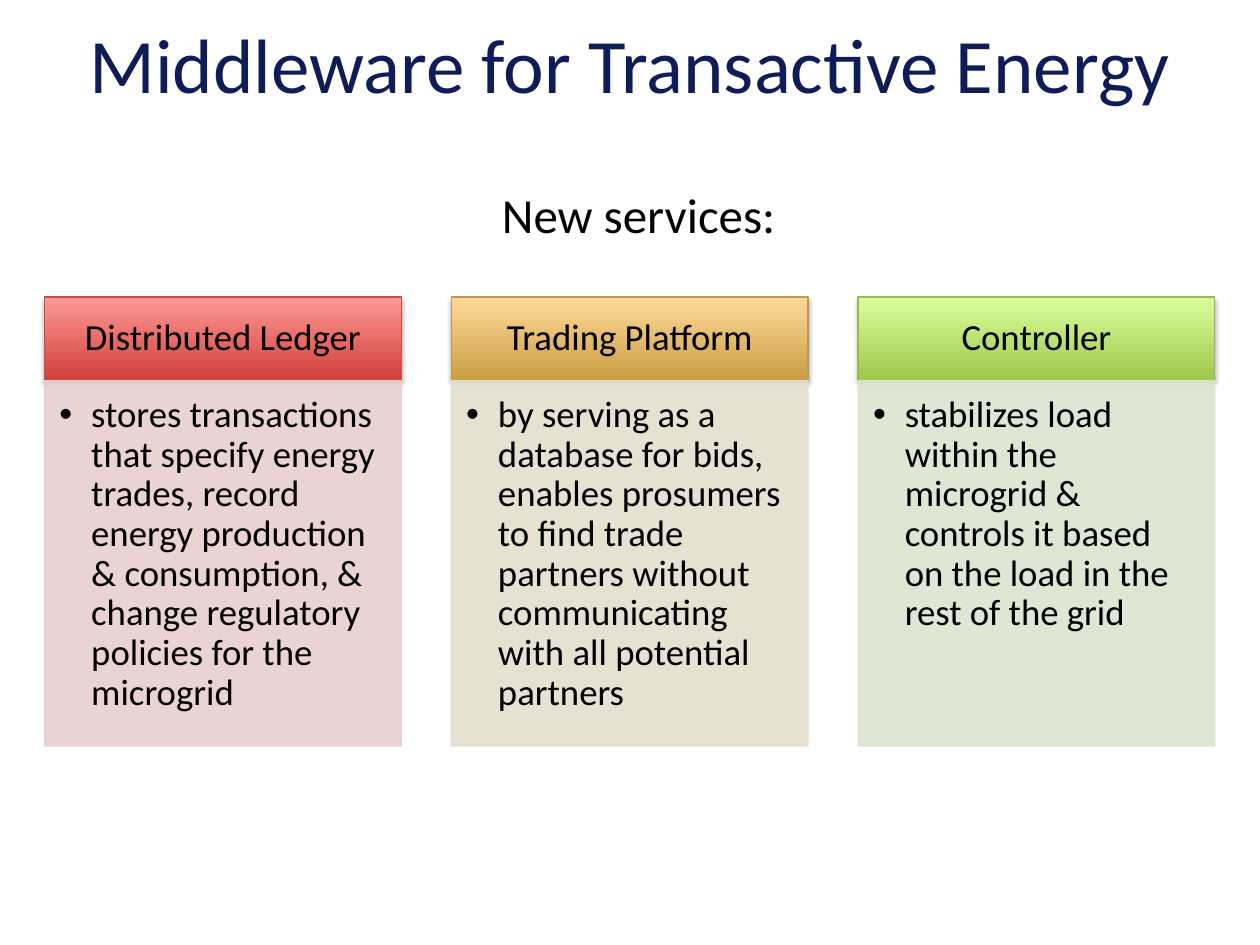
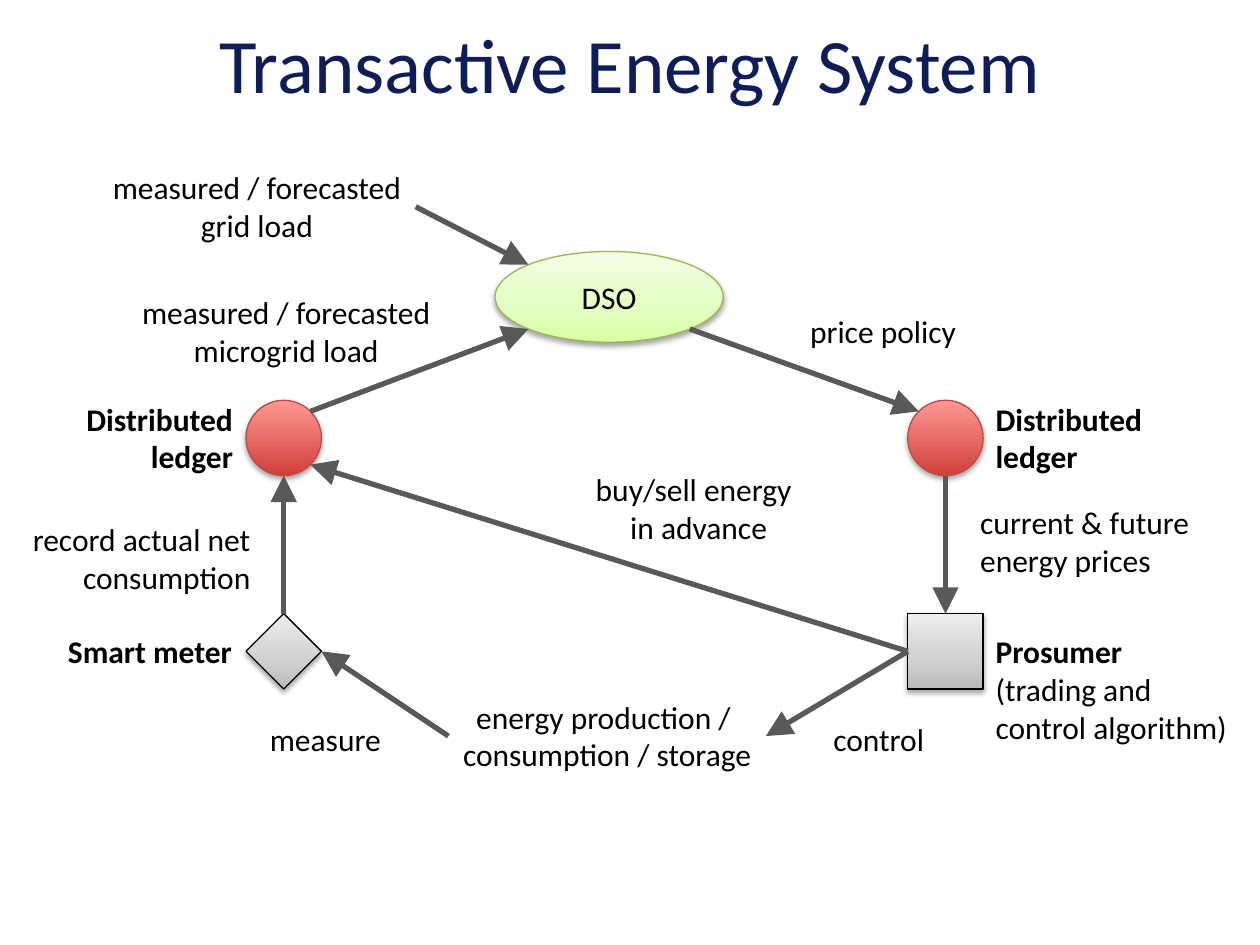
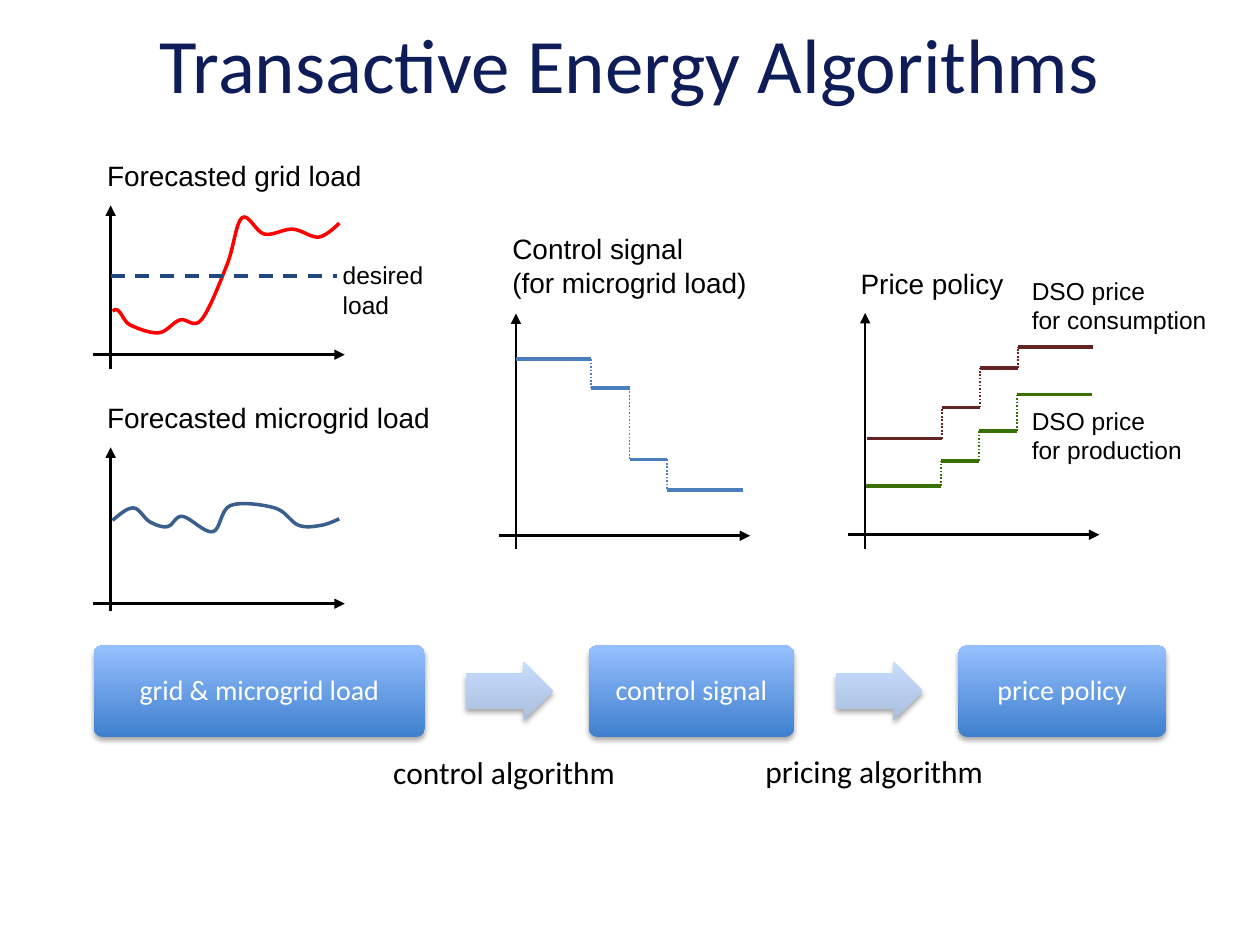
import copy
import dataclasses
import math

import lxml.etree
import pptx
import pptx.dml.color
import pptx.enum.dml
import pptx.enum.shapes
import pptx.enum.text
import pptx.oxml.ns
import pptx.util

Cm = pptx.util.Cm
Pt = pptx.util.Pt
qn = pptx.oxml.ns.qn
PRESET = pptx.enum.shapes.MSO_SHAPE
ALIGN = pptx.enum.text.PP_ALIGN
ANCHOR = pptx.enum.text.MSO_ANCHOR
FIT = pptx.enum.text.MSO_AUTO_SIZE
DASH = pptx.enum.dml.MSO_LINE
TOP, LEFT, BOTTOM, RIGHT = range(4)


@dataclasses.dataclass(frozen=True)
class Theme:
    # Fonts and type sizes
    font: str = "Calibri"
    plot_font: str = "Arial"
    title_size: int = 44
    lead_size: int = 28
    card_size: int = 21
    label_size: int = 18
    small_size: int = 16
    note_size: int = 14
    # Plain colours
    title: str = "0E1C58"
    text: str = "000000"
    inverse: str = "FFFFFF"
    flow: str = "595959"
    ledger_line: str = "BD4B48"
    dso_line: str = "97B853"
    grid_load: str = "FF0000"
    microgrid_load: str = "3A5F8C"
    desired_load: str = "1F497D"
    control: str = "4B7EBC"
    consumption: str = "632523"
    production: str = "397000"
    # Gradients as (position, colour), from bottom to top
    red: tuple = ((0, "D03F3B"), (1, "FF9995"))
    gold: tuple = ((0, "CA9E42"), (1, "FFD99A"))
    green: tuple = ((0, "9DC749"), (1, "D9FF9D"))
    pale_green: tuple = ((0, "DAFEA4"), (0.35, "E3FEBF"), (1, "F4FEE6"))
    grey: tuple = ((0, "BABABA"), (0.35, "CFCFCF"), (1, "EDEDED"))
    blue: tuple = ((0, "3E7FCD"), (1, "96C0FF"))
    pale_blue: tuple = ((0, "ABBEDC"), (1, "C7DDFF"))


THEME = Theme()


@dataclasses.dataclass(frozen=True)
class Side:
    """The middle of one side of a shape."""
    shape: object
    site: int


def rgb(color):
    return pptx.dml.color.RGBColor.from_string(color)


def apply_format(target, values):
    for name, value in values.items():
        setattr(target, name, value)


# ---- Text: \n starts a paragraph, \v breaks a line ----

def write(frame, text, size, color=THEME.text, font=THEME.font, align=ALIGN.LEFT,
          bold_paragraphs=0, spacing=None, wrap=True, **frame_format):
    apply_format(frame, {"word_wrap": wrap, "auto_size": FIT.NONE, **frame_format})
    frame.text = text
    for number, paragraph in enumerate(frame.paragraphs):
        apply_format(paragraph, {"alignment": align, "line_spacing": spacing})
        for run in paragraph.runs:
            apply_format(run.font, {"name": font, "size": Pt(size),
                                    "bold": number < bold_paragraphs})
            run.font.color.rgb = rgb(color)
        for line_break in paragraph._p.findall(qn("a:br")):
            line_break.append(copy.deepcopy(paragraph._p.find(".//" + qn("a:rPr"))))


def add_label(slide, x, y, width, text, size=THEME.label_size, rows=None, **text_format):
    height = 0.25 + 0.043 * size * (rows or len(text.splitlines()))
    label = slide.shapes.add_textbox(Cm(x), Cm(y), Cm(width), Cm(height))
    write(label.text_frame, text, size, **text_format)
    return label


def add_plot_label(slide, x, y, width, text, size=THEME.small_size):
    add_label(slide, x, y, width, text, size, font=THEME.plot_font,
              wrap=False, auto_size=FIT.SHAPE_TO_FIT_TEXT)


def add_bullet(paragraph, indent):
    properties = paragraph._p.get_or_add_pPr()
    properties.set("marL", str(Cm(indent)))
    properties.set("indent", str(-Cm(indent)))
    lxml.etree.SubElement(properties, qn("a:buFont"), typeface="Arial")
    lxml.etree.SubElement(properties, qn("a:buChar"), char="•")


def add_slide(deck, heading):
    slide = deck.slides.add_slide(deck.slide_layouts[5])
    title = slide.shapes.title
    apply_format(title, {"left": Cm(0), "top": Cm(0.18),
                         "width": Cm(25.4), "height": Cm(2.18)})
    write(title.text_frame, heading, THEME.title_size, THEME.title,
          align=ALIGN.CENTER, vertical_anchor=ANCHOR.MIDDLE)
    return slide


# ---- Shapes ----

def add_block(slide, preset, x, y, width, height, line=None):
    block = slide.shapes.add_shape(preset, Cm(x), Cm(y), Cm(width), Cm(height))
    block.shadow.inherit = False
    if line:
        block.line.color.rgb = rgb(line)
        block.line.width = Pt(0.75)
    else:
        block.line.fill.background()
    return block


def add_glossy(slide, preset, x, y, width, height, gradient, line=None):
    """A shape with a vertical gradient and a soft shadow below it."""
    block = add_block(slide, preset, x, y, width, height, line)
    block.fill.gradient()
    block.fill.gradient_angle = 90
    properties = block.element.spPr
    stops = properties.find(".//" + qn("a:gsLst"))
    for _ in gradient[2:]:
        stops.insert(1, copy.deepcopy(stops[0]))
    for stop, (position, color) in zip(block.fill.gradient_stops, gradient):
        stop.position = position
        stop.color.rgb = rgb(color)
    shadow = lxml.etree.SubElement(
        properties.find(qn("a:effectLst")), qn("a:outerShdw"),
        blurRad=str(Pt(3.1)), dist=str(Pt(1.8)), dir="5400000", rotWithShape="0")
    shade = lxml.etree.SubElement(shadow, qn("a:srgbClr"), val=THEME.text)
    lxml.etree.SubElement(shade, qn("a:alpha"), val="35000")
    return block


def add_card(slide, x, heading, detail, gradient, line, tint):
    top, width, head_height = 5.99, 7.19, 1.68
    head = add_glossy(slide, PRESET.RECTANGLE, x, top, width, head_height, gradient, line)
    write(head.text_frame, heading, THEME.card_size, align=ALIGN.CENTER,
          spacing=0.9, vertical_anchor=ANCHOR.MIDDLE)

    body = add_block(slide, PRESET.RECTANGLE, x, top + head_height, width, 7.37, tint)
    body.fill.solid()
    body.fill.fore_color.rgb = rgb(tint)
    for color in body.element.spPr.iter(qn("a:srgbClr")):
        lxml.etree.SubElement(color, qn("a:alpha"), val="90000")
    write(body.text_frame, detail, THEME.card_size, spacing=0.9,
          vertical_anchor=ANCHOR.TOP, margin_left=Cm(0.3), margin_top=Cm(0.31),
          margin_right=Cm(0.41), margin_bottom=Cm(0.46))
    add_bullet(body.text_frame.paragraphs[0], 0.64)


def add_curve(slide, lead_in, knots, color):
    """A smooth curve through the knots, leaving the first one along lead_in."""
    outline = [(Cm(x), Cm(y)) for x, y in knots]
    builder = slide.shapes.build_freeform(*outline[0])
    builder.add_line_segments(outline[1:], close=False)
    curve = builder.convert_to_shape()
    curve.shadow.inherit = False
    curve.fill.background()
    curve.line.color.rgb = rgb(color)
    curve.line.width = Pt(2)

    # Bend each segment with the Catmull-Rom control points
    guides = [tuple(map(Cm, lead_in)), *outline, outline[-2]]
    segments = curve.element.spPr.findall(".//" + qn("a:lnTo"))
    for segment, a, b, c, d in zip(segments, guides, guides[1:], guides[2:], guides[3:]):
        segment.tag = qn("a:cubicBezTo")
        leaving = [q + (r - p) / 6 for p, q, r in zip(a, b, c)]
        arriving = [r - (s - q) / 6 for q, r, s in zip(b, c, d)]
        for index, (x, y) in enumerate((leaving, arriving)):
            segment.insert(index, lxml.etree.Element(
                qn("a:pt"), x=str(round(x - curve.left)), y=str(round(y - curve.top))))


# ---- Lines ----

def rim(ellipse, degrees):
    """Point on an ellipse, clockwise from its right end."""
    angle = math.radians(degrees)
    rx, ry = ellipse.width.cm / 2, ellipse.height.cm / 2
    return (ellipse.left.cm + rx * (1 + math.cos(angle)),
            ellipse.top.cm + ry * (1 + math.sin(angle)))


def add_line(slide, begin, end, color, width, dash=None, head=None):
    start, stop = [(0, 0) if isinstance(place, Side) else place for place in (begin, end)]
    line = slide.shapes.add_connector(
        pptx.enum.shapes.MSO_CONNECTOR.STRAIGHT, *map(Cm, start + stop))
    for place, connect in ((begin, line.begin_connect), (end, line.end_connect)):
        if isinstance(place, Side):
            connect(place.shape, place.site)
    line.line.color.rgb = rgb(color)
    apply_format(line.line, {"width": Pt(width), "dash_style": dash})
    properties = line.element.spPr
    if head:
        lxml.etree.SubElement(properties.find(qn("a:ln")), qn("a:tailEnd"),
                              type="triangle", w=head, len=head)
    lxml.etree.SubElement(properties, qn("a:effectLst"))


def add_axes(slide, x, y, foot, top):
    for begin, end in (((x - 0.35, y), (x + 4.72, y)), ((x, foot), (x, top))):
        add_line(slide, begin, end, THEME.text, 1.5, head="med")


def add_stairs(slide, x, levels, color):
    breaks = [x + offset for offset in (0, 1.52, 2.29, 3.05, 4.57)]
    for left, right, level in zip(breaks, breaks[1:], levels):
        add_line(slide, (left, level), (right, level), color, 2)
    for riser, lower, upper in zip(breaks[1:], levels, levels[1:]):
        add_line(slide, (riser, lower), (riser, upper), color, 1, DASH.ROUND_DOT)


# ---- Slides ----

def build_middleware(deck):
    slide = add_slide(deck, "Middleware for Transactive Energy")
    services = (
        ("Distributed Ledger",
         "stores transactions that specify energy trades, record energy production "
         "& consumption, & change regulatory policies for the microgrid",
         THEME.red, "BF504D", "E7CFCF"),
        ("Trading Platform",
         "by serving as a database for bids, enables prosumers to find trade partners "
         "without communicating with all potential partners",
         THEME.gold, "BB9952", "E5DECE"),
        ("Controller",
         "stabilizes load within the microgrid & controls it based on the load "
         "in the rest of the grid",
         THEME.green, "99B958", "DCE4CF"),
    )
    for column, service in enumerate(services):
        add_card(slide, 0.9 + 8.2 * column, *service)
    add_label(slide, 9.87, 3.59, 6.43, "New services:", THEME.lead_size)


def build_system(deck):
    slide = add_slide(deck, "Transactive Energy System")

    # Nodes
    west, east, upper, lower, node = 4.96, 18.3, 8.07, 12.37, 1.52
    dso = add_glossy(slide, PRESET.OVAL, 9.98, 5.07, 4.6, 1.83,
                     THEME.pale_green, THEME.dso_line)
    write(dso.text_frame, "DSO", THEME.label_size, align=ALIGN.CENTER,
          vertical_anchor=ANCHOR.MIDDLE)
    west_ledger, east_ledger, meter, prosumer = [
        add_glossy(slide, preset, x, y, node, node, gradient, line)
        for preset, x, y, gradient, line in (
            (PRESET.OVAL, west, upper, THEME.red, THEME.ledger_line),
            (PRESET.OVAL, east, upper, THEME.red, THEME.ledger_line),
            (PRESET.DIAMOND, west, lower, THEME.grey, THEME.text),
            (PRESET.RECTANGLE, east, lower, THEME.grey, THEME.text))]

    # Node names and flow labels
    energy = add_label(slide, 9.04, 13.94, 6.4,
                       "energy production / \vconsumption / storage", align=ALIGN.CENTER)
    grid_load = add_label(slide, 1.98, 3.27, 6.4,
                          "measured / forecasted\vgrid load", align=ALIGN.CENTER)
    trade = add_label(slide, 11.76, 9.35, 4.65, "buy/sell energy\nin advance",
                      align=ALIGN.CENTER)
    trade.text_frame.paragraphs[0].alignment = ALIGN.LEFT
    add_label(slide, 0.19, 10.36, 5.11, "record actual net consumption", rows=2,
              align=ALIGN.RIGHT)
    for x, y, width, text, align, bold_paragraphs in (
            (1.47, 7.93, 3.48, "Distributed\vledger", ALIGN.RIGHT, 1),
            (19.82, 7.93, 3.48, "Distributed\vledger", ALIGN.LEFT, 1),
            (1.12, 12.62, 3.86, "Smart meter", ALIGN.LEFT, 1),
            (19.82, 12.62, 5.35, "Prosumer\n(trading and\ncontrol algorithm)",
             ALIGN.LEFT, 1),
            (2.57, 5.78, 6.4, "measured / forecasted\vmicrogrid load", ALIGN.CENTER, 0),
            (16.08, 6.17, 3.5, "price policy", ALIGN.LEFT, 0),
            (19.51, 10.01, 5.33, "current & future\nenergy prices", ALIGN.LEFT, 0),
            (5.19, 14.39, 2.77, "measure", ALIGN.LEFT, 0),
            (16.55, 14.4, 2.4, "control", ALIGN.LEFT, 0)):
        add_label(slide, x, y, width, text, align=align, bold_paragraphs=bold_paragraphs)

    # Flows
    for begin, end in (
            (Side(grid_load, RIGHT), rim(dso, 225)),
            (rim(west_ledger, 315), rim(dso, 135)),
            (rim(dso, 45), rim(east_ledger, 225)),
            (rim(east_ledger, 90), Side(prosumer, TOP)),
            (Side(prosumer, LEFT), rim(west_ledger, 45)),
            (Side(prosumer, LEFT), Side(energy, RIGHT)),
            (Side(energy, LEFT), Side(meter, RIGHT)),
            (Side(meter, TOP), rim(west_ledger, 90))):
        add_line(slide, begin, end, THEME.flow, 3, head="lg")


def build_algorithms(deck):
    slide = add_slide(deck, "Transactive Energy Algorithms")

    # Process chain
    for x, width, stage in ((1.89, 6.68, "grid & microgrid load"),
                            (11.87, 4.14, "control signal"),
                            (19.32, 4.19, "price policy")):
        box = add_glossy(slide, PRESET.ROUNDED_RECTANGLE, x, 13.01, width, 1.85, THEME.blue)
        box.adjustments[0] = 0.1
        write(box.text_frame, stage, THEME.small_size, THEME.inverse,
              align=ALIGN.CENTER, spacing=0.9, vertical_anchor=ANCHOR.MIDDLE)
    for arrow_x, label_x, label_y, algorithm in ((9.4, 7.65, 15.06, "control algorithm"),
                                                 (16.85, 15.11, 15.03, "pricing algorithm")):
        step = add_glossy(slide, PRESET.RIGHT_ARROW, arrow_x, 13.34, 1.75, 1.19,
                          THEME.pale_blue)
        step.adjustments[0] = 0.6
        add_label(slide, label_x, label_y, 5.03, algorithm, align=ALIGN.CENTER)

    # Axes of the four plots
    for x, y, foot, top in ((2.23, 7.15, 7.44, 4.14), (2.23, 12.17, 12.32, 9.02),
                            (10.4, 10.8, 11.07, 6.32), (17.44, 10.78, 11.07, 6.31)):
        add_axes(slide, x, y, foot, top)

    # Load forecasts
    add_curve(slide, (1.7, 7.32),
              [(2.27, 6.27), (2.62, 6.55), (3.2, 6.71), (3.63, 6.45), (4.06, 6.45),
               (4.58, 5.33), (4.88, 4.39), (5.33, 4.72), (5.9, 4.62), (6.43, 4.78),
               (6.84, 4.5)], THEME.grid_load)
    add_curve(slide, (1.78, 11),
              [(2.27, 10.49), (2.69, 10.24), (3.02, 10.52), (3.38, 10.62), (3.68, 10.41),
               (4.29, 10.72), (4.65, 10.19), (5.54, 10.24), (6.02, 10.59), (6.48, 10.59),
               (6.84, 10.46)], THEME.microgrid_load)
    add_line(slide, (2.23, 5.56), (6.8, 5.56), THEME.desired_load, 2, DASH.DASH)

    # Control signal and prices
    add_stairs(slide, 10.4, (7.24, 7.82, 9.26, 9.88), THEME.control)
    add_stairs(slide, 17.47, (8.84, 8.21, 7.42, 6.99), THEME.consumption)
    add_stairs(slide, 17.45, (9.8, 9.29, 8.69, 7.95), THEME.production)

    # Plot headings and notes
    for heading in ((1.91, 3.08, 5.72, "Forecasted grid load"),
                    (1.91, 7.95, 7.09, "Forecasted microgrid load"),
                    (10.08, 4.55, 5.31, "Control signal\n(for microgrid load)"),
                    (17.1, 5.25, 3.43, "Price policy")):
        add_plot_label(slide, *heading)
    for note in ((6.66, 5.12, 2.13, "desired\vload"),
                 (20.55, 5.44, 4.04, "DSO price\nfor consumption"),
                 (20.55, 8.06, 3.56, "DSO price\nfor production")):
        add_plot_label(slide, *note, THEME.note_size)


def main():
    deck = pptx.Presentation()
    deck.slide_width, deck.slide_height = Cm(25.4), Cm(19.05)
    build_middleware(deck)
    build_system(deck)
    build_algorithms(deck)
    deck.save("out.pptx")


if __name__ == "__main__":
    main()
